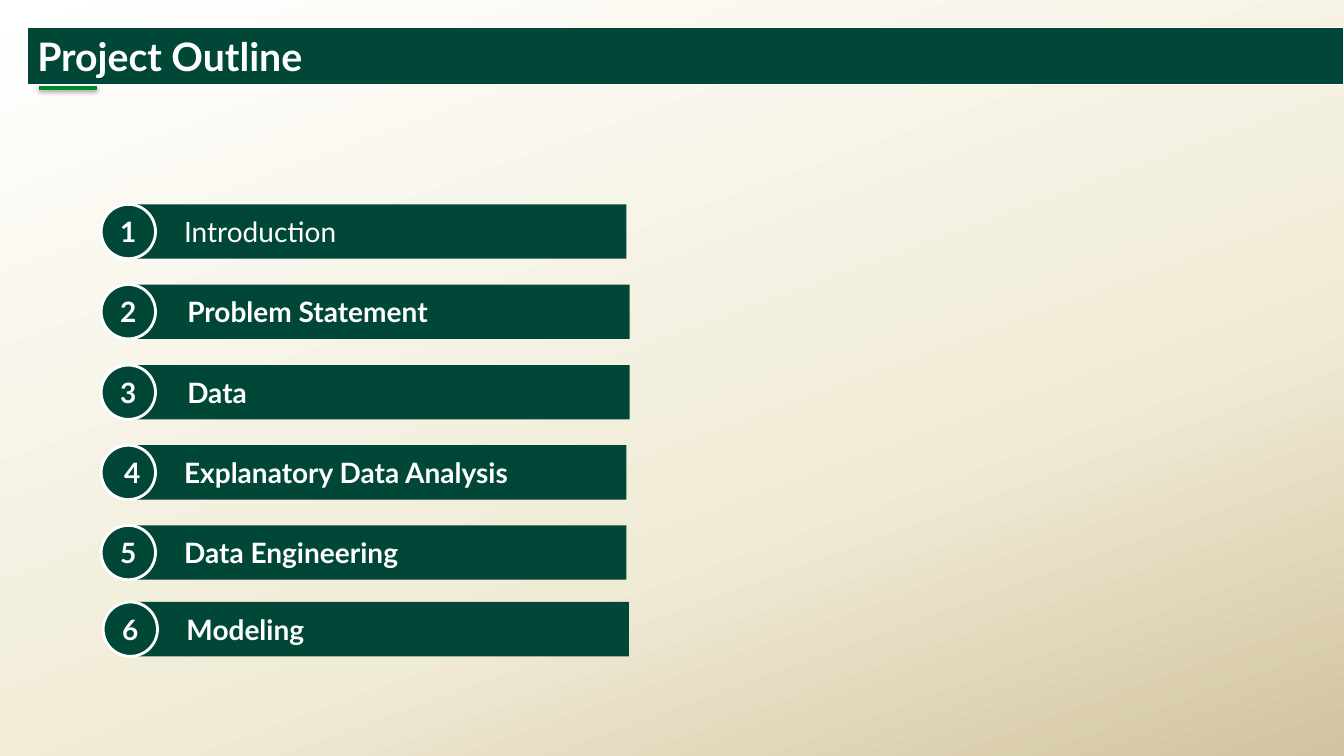
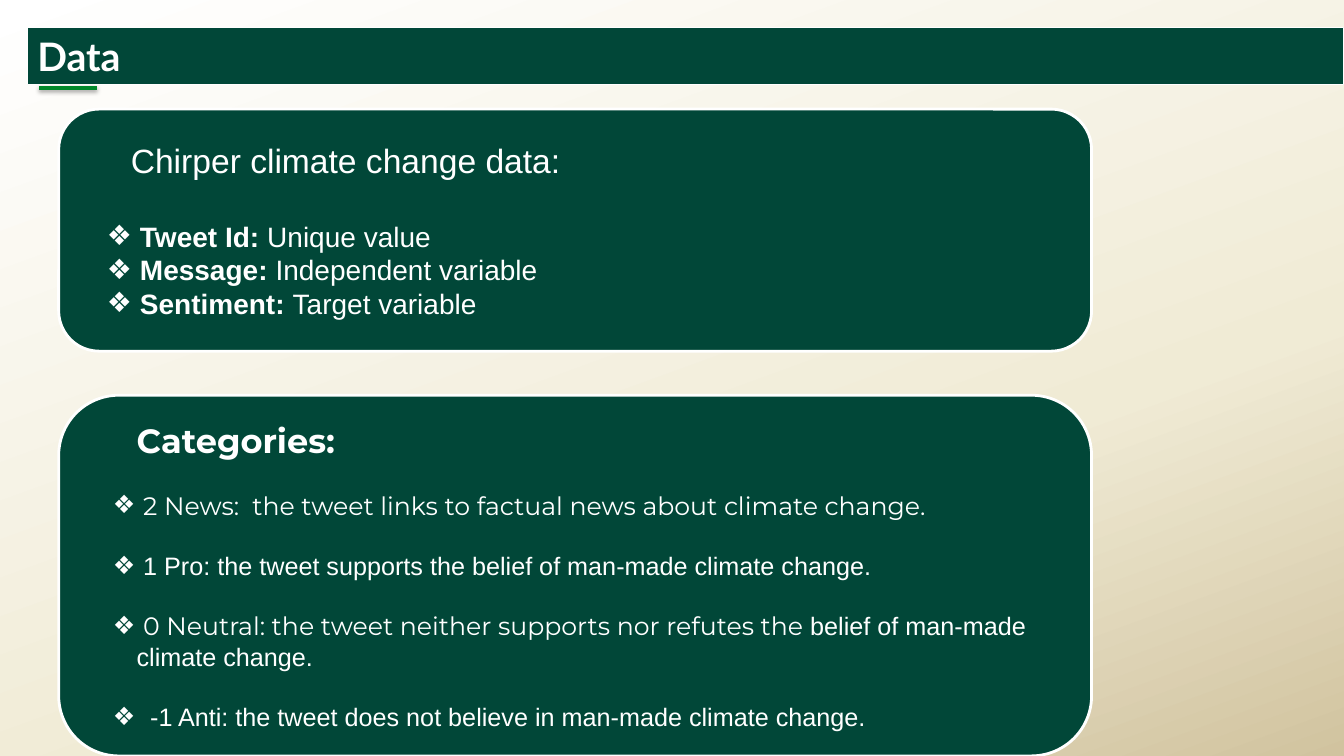
from copy import deepcopy

from lxml import etree
from pptx import Presentation
from pptx.dml.color import RGBColor
from pptx.enum.shapes import MSO_CONNECTOR, MSO_SHAPE
from pptx.enum.text import MSO_ANCHOR, PP_ALIGN
from pptx.oxml.ns import qn
from pptx.util import Cm, Pt

GREEN, ACCENT, WHITE = "014738", "00882B", "FFFFFF"
BACKGROUND_STOPS = [(0, WHITE), (0.65, "F0EBD5"), (1, "D1C39F")]
color = RGBColor.from_string

TITLE_FORMAT = {"name": "Lato", "size": Pt(28), "bold": True}
ROW_FORMAT = {"name": "Lato", "size": Pt(20), "bold": True}
BAND_INSETS = (0.25, 0.13)
PANEL_INSETS = (0.25, 0.25)
CIRCLE_INSETS = (0.18, 0.1)


def add_box(shapes, kind, bounds, insets, line_width=None, anchor=MSO_ANCHOR.MIDDLE):
    """Add a green shape, with bounds and insets in centimetres."""
    shape = shapes.add_shape(kind, *map(Cm, bounds))
    shape.shadow.inherit = False
    shape.fill.solid()
    shape.fill.fore_color.rgb = color(GREEN)
    if line_width:
        shape.line.color.rgb = color(WHITE)
        shape.line.width = Pt(line_width)
    else:
        shape.line.fill.background()
    frame = shape.text_frame
    horizontal, vertical = map(Cm, insets)
    settings = {
        "word_wrap": True, "vertical_anchor": anchor,
        "margin_left": horizontal, "margin_right": horizontal,
        "margin_top": vertical, "margin_bottom": vertical,
    }
    for name, value in settings.items():
        setattr(frame, name, value)
    return frame


def write(paragraph, runs, margin=0, indent=0, align=PP_ALIGN.LEFT):
    """Fill a paragraph from (text, font format) pairs, in white."""
    paragraph.alignment = align
    properties = paragraph._p.get_or_add_pPr()
    properties.set("marL", str(Cm(margin)))
    properties.set("indent", str(Cm(indent)))
    for text, font_format in runs:
        run = paragraph.add_run()
        run.text = text
        run.font.color.rgb = color(WHITE)
        for name, value in font_format.items():
            setattr(run.font, name, value)


presentation = Presentation()
presentation.slide_width = Cm(33.87)
presentation.slide_height = Cm(19.05)

# Shared background on the master
master = presentation.slide_master
background = master.background.fill
background.gradient()
background.gradient_angle = 290
stop_list = next(master.element.iter(qn("a:gsLst")))
stop_list.append(deepcopy(stop_list[-1]))
for stop, (position, stop_color) in zip(background.gradient_stops, BACKGROUND_STOPS):
    stop.position = position
    stop.color.rgb = color(stop_color)

# Title band and accent line on each slide
slides = []
for title in ("Project Outline", "Data"):
    slide = presentation.slides.add_slide(presentation.slide_layouts[6])
    slides.append(slide)
    band = add_box(slide.shapes, MSO_SHAPE.RECTANGLE, (0.69, 0.69, 33.18, 1.44),
                   BAND_INSETS, 0.75, MSO_ANCHOR.TOP)
    write(band.paragraphs[0], [(title, TITLE_FORMAT)])

    accent = slide.shapes.add_connector(
        MSO_CONNECTOR.STRAIGHT, Cm(0.98), Cm(2.21), Cm(2.44), Cm(2.21))
    accent.line.color.rgb = color(ACCENT)
    accent.line.width = Pt(3)
    effects = etree.SubElement(accent._element.spPr, qn("a:effectLst"))
    shadow = etree.SubElement(effects, qn("a:outerShdw"), blurRad=str(Pt(3.1)),
                              dist=str(Pt(1.8)), dir="5400000", rotWithShape="0")
    shadow_color = etree.SubElement(shadow, qn("a:srgbClr"), val="000000")
    etree.SubElement(shadow_color, qn("a:alpha"), val="35000")

outline_slide, data_slide = slides

# Project outline: label, top, circle left, bar left
outline_rows = [
    ("Introduction", 5.15, 2.55, 3.12),
    ("Problem Statement", 7.17, 2.55, 3.2),
    ("Data", 9.2, 2.55, 3.2),
    ("Explanatory Data Analysis", 11.22, 2.55, 3.12),
    ("Data Engineering", 13.24, 2.55, 3.12),
    ("Modeling", 15.17, 2.6, 3.18),
]
row_height = 1.37
for number, (label, top, circle_left, bar_left) in enumerate(outline_rows, 1):
    row = outline_slide.shapes.add_group_shape()
    bar = add_box(row.shapes, MSO_SHAPE.RECTANGLE,
                  (bar_left, top, 12.67, row_height), PANEL_INSETS)
    label_format = ROW_FORMAT | {"bold": number != 1}
    write(bar.paragraphs[0], [(label, label_format)], indent=1.27)
    circle = add_box(row.shapes, MSO_SHAPE.OVAL,
                     (circle_left, top, row_height, row_height), CIRCLE_INSETS, 2)
    write(circle.paragraphs[0], [(str(number), ROW_FORMAT)],
          align=PP_ALIGN.RIGHT if number == 4 else PP_ALIGN.CENTER)

# Data: two panels, each a heading followed by bulleted items
arial_20 = {"name": "Arial", "size": Pt(20)}
arial_20_bold = arial_20 | {"bold": True}
arial_18 = {"name": "Arial", "size": Pt(18)}
montserrat_18 = {"name": "Montserrat", "size": Pt(18)}
panels = [
    {
        "top": 2.75, "height": 6.1, "heading_gap": 27.5, "item_gap": 0,
        "heading": ("Chirper climate change data:", {"name": "Arial", "size": Pt(24)}),
        "items": [
            [(" Tweet Id: ", arial_20_bold), ("Unique value", arial_20)],
            [(" Message: ", arial_20_bold), ("Independent variable", arial_20)],
            [(" Sentiment: ", arial_20_bold), ("Target variable", arial_20)],
        ],
    },
    {
        "top": 9.96, "height": 9.09, "heading_gap": 21.5, "item_gap": 21.5,
        "heading": ("Categories:",
                    {"name": "Montserrat", "size": Pt(24), "bold": True}),
        "items": [
            [(" 2 News:  the tweet links to factual news about climate change.",
              montserrat_18)],
            [(" ", montserrat_18),
             ("1 Pro: the tweet supports the belief of man-made climate change.",
              arial_18)],
            [(" 0 Neutral: the tweet neither supports nor refutes the ", montserrat_18),
             ("belief of man-made climate change.", arial_18)],
            [(" ", montserrat_18),
             (" -1 Anti: the tweet does not believe in man-made climate change.",
              arial_18)],
        ],
    },
]
for panel in panels:
    frame = add_box(data_slide.shapes, MSO_SHAPE.ROUNDED_RECTANGLE,
                    (1.48, panel["top"], 26.03, panel["height"]), PANEL_INSETS, 2)
    heading = frame.paragraphs[0]
    write(heading, [panel["heading"]], margin=1.27)
    heading.space_after = Pt(panel["heading_gap"])
    for item in panel["items"]:
        paragraph = frame.add_paragraph()
        write(paragraph, item, margin=1.27, indent=-0.6)
        if item is not panel["items"][-1]:
            paragraph.space_after = Pt(panel["item_gap"])
        properties = paragraph._p.get_or_add_pPr()
        etree.SubElement(properties, qn("a:buFont"), typeface="Arial")
        etree.SubElement(properties, qn("a:buChar"), char="❖")

presentation.save("out.pptx")
